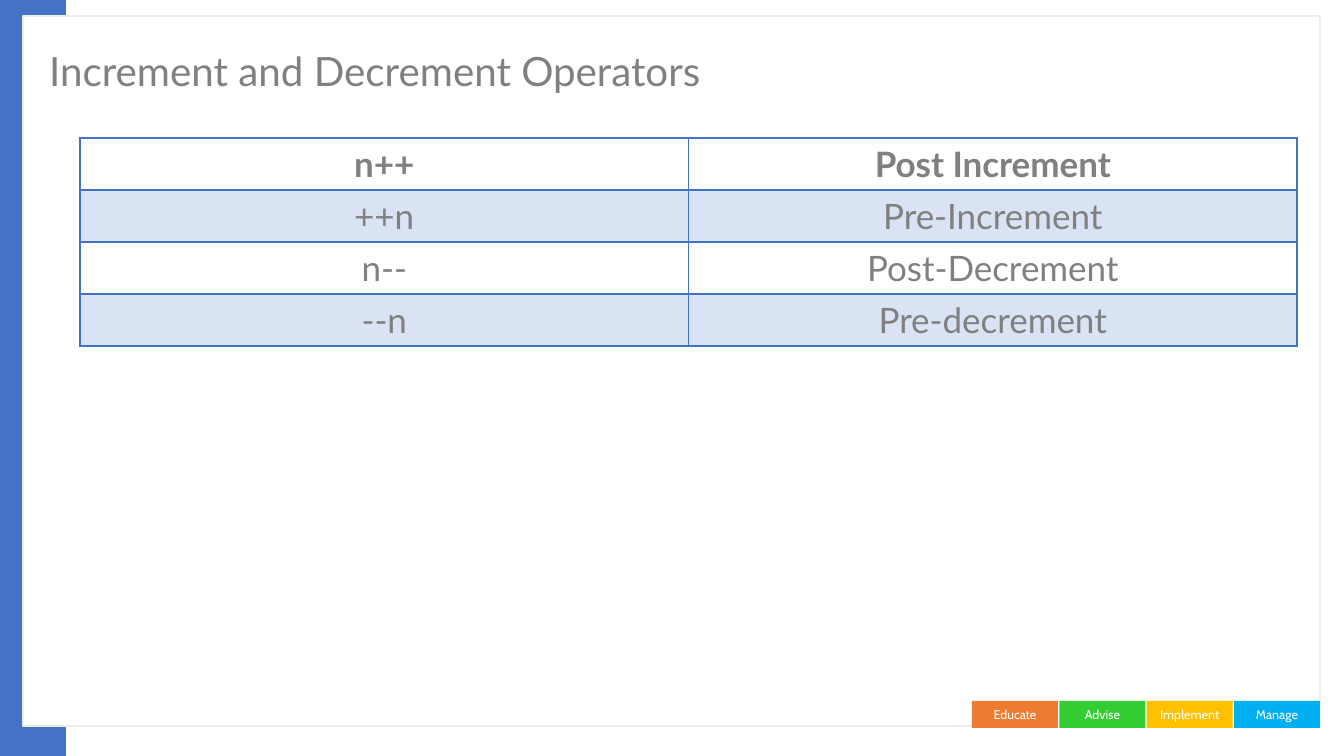
from lxml.etree import SubElement
from pptx import Presentation
from pptx.dml.color import RGBColor
from pptx.enum.shapes import MSO_SHAPE
from pptx.enum.text import MSO_ANCHOR, PP_ALIGN
from pptx.oxml.ns import qn
from pptx.util import Emu, Pt

EMU_PER_PX = 914400 / 100.8

BLUE = RGBColor(0x44, 0x72, 0xC4)
PALE_BLUE = RGBColor(0xDA, 0xE3, 0xF3)
PALE_GRAY = RGBColor(0xED, 0xED, 0xED)
GRAY = RGBColor(0x80, 0x80, 0x80)
WHITE = RGBColor(0xFF, 0xFF, 0xFF)
ORANGE = RGBColor(0xED, 0x7D, 0x31)
GREEN = RGBColor(0x33, 0xCC, 0x33)
AMBER = RGBColor(0xFF, 0xC0, 0x00)
SKY = RGBColor(0x00, 0xB0, 0xF0)

SERVICES = [("Educate", ORANGE), ("Advise", GREEN), ("Implement", AMBER), ("Manage", SKY)]
OPERATORS = [
    ("n++", "Post Increment"),
    ("++n", "Pre-Increment"),
    ("n--", "Post-Decrement"),
    ("--n", "Pre-decrement"),
]


def px(length):
    return Emu(round(length * EMU_PER_PX))


def write(frame, text, *, size, color=GRAY, font="Lato", bold=False,
          align=PP_ALIGN.CENTER, spacing=None):
    paragraph = frame.paragraphs[0]
    paragraph.alignment = align
    paragraph.line_spacing = spacing
    run = paragraph.add_run()
    run.text = text
    run.font.name = font
    run.font.size = Pt(size)
    run.font.bold = bold
    run.font.color.rgb = color


def add_panel(slide, box, fill, line=None):
    panel = slide.shapes.add_shape(MSO_SHAPE.RECTANGLE, *map(px, box))
    panel.shadow.inherit = False
    panel.fill.solid()
    panel.fill.fore_color.rgb = fill
    if line is None:
        panel.line.fill.background()
    else:
        panel.line.color.rgb = line
        panel.line.width = Pt(1)
    return panel


def add_backdrop(slide, box):
    left, top, width, height = box
    add_panel(slide, (left, top, 66, height), BLUE)
    add_panel(slide, (left + 23, top + 16, width - 47, height - 46), WHITE, PALE_GRAY)


def add_service_tabs(slide, box):
    left, top, width, height = box
    tab_width = 86
    step = (width - tab_width) / (len(SERVICES) - 1)
    for index, (service, color) in enumerate(SERVICES):
        tab = add_panel(slide, (left + index * step, top, tab_width, height), color)
        frame = tab.text_frame
        frame.margin_left = frame.margin_right = 0
        frame.margin_top = frame.margin_bottom = 0
        frame.vertical_anchor = MSO_ANCHOR.MIDDLE
        write(frame, service, size=9, color=WHITE, font="Cabin")


def place_title(slide, box, text):
    title = slide.shapes.title
    title.left, title.top, title.width, title.height = map(px, box)
    title.text_frame.word_wrap = True
    title.text_frame.vertical_anchor = MSO_ANCHOR.MIDDLE
    write(title.text_frame, text, size=28.8, align=PP_ALIGN.LEFT, spacing=0.9)
    # Bring the title in front of the backdrop
    slide.shapes._spTree.append(title._element)


def set_borders(cell, **widths):
    """Draw blue borders; widths are points keyed by side: L, R, T, B."""
    properties = cell._tc.get_or_add_tcPr()
    for side, width in widths.items():
        border = SubElement(properties, qn(f"a:ln{side}"), w=str(Pt(width)))
        fill = SubElement(border, qn("a:solidFill"))
        SubElement(fill, qn("a:srgbClr"), val=str(BLUE))


def add_operator_table(slide, box):
    table = slide.shapes.add_table(len(OPERATORS), 2, *map(px, box)).table
    table.first_row = table.horz_banding = False
    for row, texts in enumerate(OPERATORS):
        for column, text in enumerate(texts):
            cell = table.cell(row, column)
            set_borders(cell, L=1, R=1, T=2 if row == 1 else 1, B=2 if row == 0 else 1)
            if row % 2:
                cell.fill.solid()
                cell.fill.fore_color.rgb = PALE_BLUE
            else:
                cell.fill.background()
            write(cell.text_frame, text, size=25, bold=row == 0)


def main():
    deck = Presentation()
    deck.slide_width, deck.slide_height = px(1344), px(756)
    slide = deck.slides.add_slide(deck.slide_layouts[5])
    add_backdrop(slide, (0, 0, 1344, 756))
    add_service_tabs(slide, (972, 701, 348, 27))
    place_title(slide, (39, 30, 1040, 87), "Increment and Decrement Operators")
    add_operator_table(slide, (80, 138, 1217, 208))
    deck.save("out.pptx")


if __name__ == "__main__":
    main()
